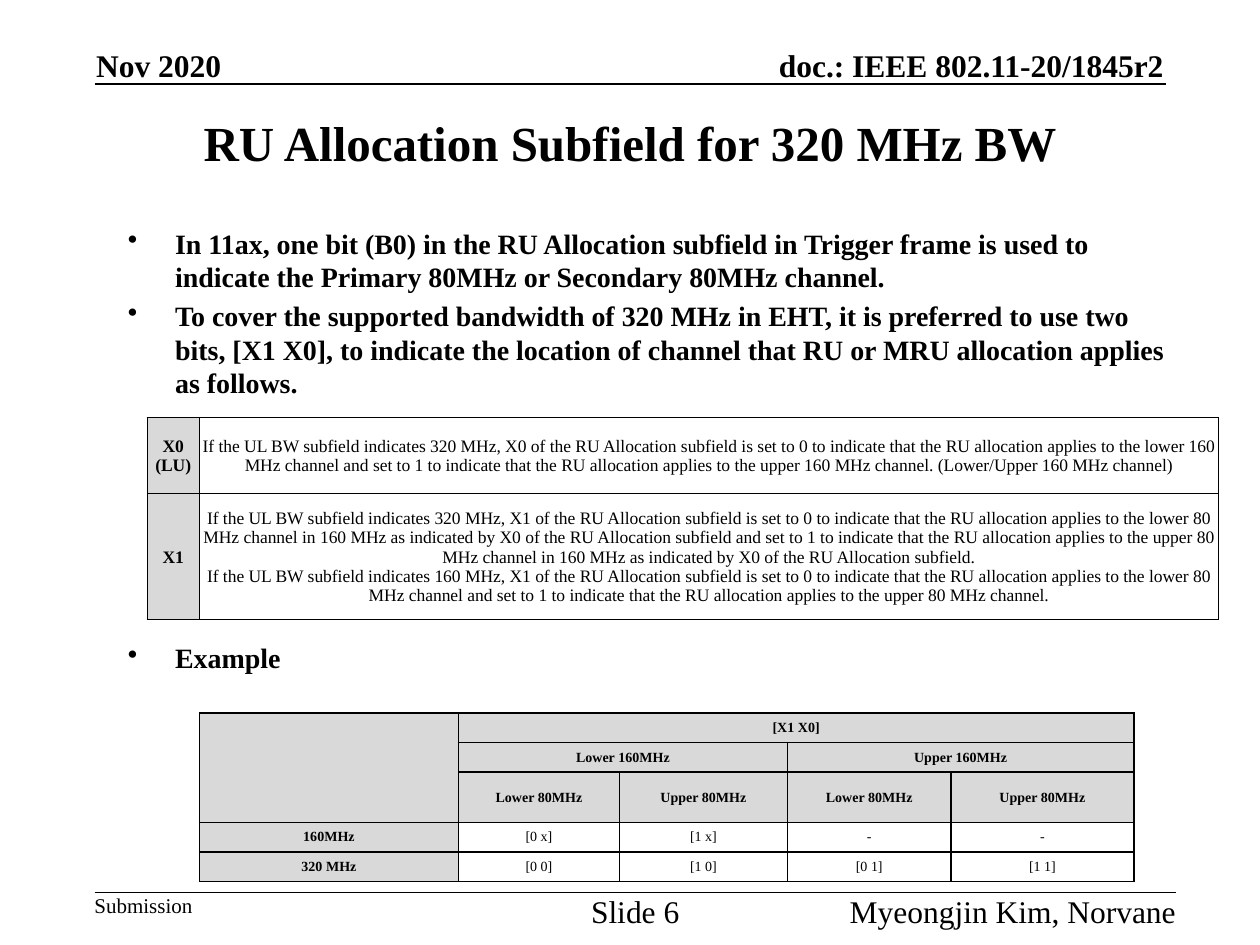
"""Build the RU allocation slide with its two tables."""
from lxml import etree
from pptx import Presentation
from pptx.dml import color
from pptx.enum import shapes, text
from pptx.oxml import ns
from pptx.util import Pt

THEME = dict(font="Times New Roman", ink="000000", gray="D9D9D9", white="FFFFFF",
             title=28, head=18, body=16, foot=12, rule=10, grid=8)
INK = color.RGBColor.from_string(THEME["ink"])
LEFT, MID, RIGHT = text.PP_ALIGN.LEFT, text.PP_ALIGN.CENTER, text.PP_ALIGN.RIGHT
TOP, CENTER, LOW = text.MSO_ANCHOR.TOP, text.MSO_ANCHOR.MIDDLE, text.MSO_ANCHOR.BOTTOM


def write(frame, lines, size, bold, align):
    for i, line in enumerate(lines):
        para = frame.paragraphs[0] if i == 0 else frame.add_paragraph()
        para.alignment = align
        run = para.add_run()
        run.text = line
        style = dict(name=THEME["font"], size=Pt(THEME[size]), bold=bold)
        for key, val in style.items():
            setattr(run.font, key, val)
        run.font.color.rgb = INK


def grid(place, cols, rows, cells, size, edge, inset, back):
    table = slide.shapes.add_table(len(rows), len(cols), *map(Pt, place),
                                   Pt(sum(cols)), Pt(sum(rows))).table
    table.first_row = table.horz_banding = False
    for col, wide in zip(table.columns, cols):
        col.width = Pt(wide)
    for row, tall in zip(table.rows, rows):
        row.height = Pt(tall)
    for r, line in enumerate(cells):
        for c, (words, head) in enumerate(line):
            cell = table.cell(r, c)
            form = dict(zip(("margin_left", "margin_right", "margin_top", "margin_bottom"),
                            map(Pt, inset)), vertical_anchor=CENTER)
            for key, val in form.items():
                setattr(cell, key, val)
            write(cell.text_frame, words.split("\n"), size, head, MID)
            props = cell._tc.get_or_add_tcPr()
            for side in ("lnL", "lnR", "lnT", "lnB"):
                line_el = etree.SubElement(props, ns.qn("a:" + side), w=str(Pt(edge)))
                solid = etree.SubElement(line_el, ns.qn("a:solidFill"))
                etree.SubElement(solid, ns.qn("a:srgbClr"), val=THEME["ink"])
            shade = THEME["gray"] if head else back
            if shade:
                cell.fill.solid()
                cell.fill.fore_color.rgb = color.RGBColor.from_string(shade)
            else:
                cell.fill.background()
    return table


deck = Presentation()
deck.slide_width, deck.slide_height = Pt(720), Pt(540)
slide = deck.slides.add_slide(deck.slide_layouts[6])

for y, end in ((48, 666), (510, 672)):
    rule = slide.shapes.add_connector(shapes.MSO_CONNECTOR.STRAIGHT,
                                      Pt(54), Pt(y), Pt(end), Pt(y))
    rule.line.color.rgb = INK
    rule.line.width = Pt(1)
    etree.SubElement(rule._element.spPr, ns.qn("a:effectLst"))

BULLETS = [
    "In 11ax, one bit (B0) in the RU Allocation subfield in Trigger frame is used to "
    "indicate the Primary 80MHz or Secondary 80MHz channel.",
    "To cover the supported bandwidth of 320 MHz in EHT, it is preferred to use two bits, "
    "[X1 X0], to indicate the location of channel that RU or MRU allocation applies as follows.",
    "Example",
]
BOXES = [
    ((306, 26, 359, 22), ["doc.: IEEE 802.11-20/1845r2"], "head", True, RIGHT, LOW, (0, 0)),
    ((55, 26, 200, 22), ["Nov 2020"], "head", True, LEFT, LOW, (0, 0)),
    ((54, 510, 100, 15), ["Submission"], "foot", False, LEFT, TOP, (0, 0)),
    ((323, 510, 80, 22), ["Slide 6"], "head", False, MID, TOP, (0, 0)),
    ((442, 510, 230, 22), ["Myeongjin Kim, Norvane"], "head", False, RIGHT, TOP, (0, 0)),
    ((54, 54, 612, 54), ["RU Allocation Subfield for 320 MHz BW"], "title", True, MID, CENTER,
     (7.2, 3.6)),
    ((66, 126, 612, 366), BULLETS, "body", True, LEFT, TOP, (7.2, 3.6)),
]
for place, lines, size, bold, align, anchor, (side, edge) in BOXES:
    frame = slide.shapes.add_textbox(*map(Pt, place)).text_frame
    form = dict(word_wrap=True, vertical_anchor=anchor, margin_left=Pt(side),
                margin_right=Pt(side), margin_top=Pt(edge), margin_bottom=Pt(edge))
    for key, val in form.items():
        setattr(frame, key, val)
    write(frame, lines, size, bold, align)

for para, gap in zip(frame.paragraphs, (0, 3.2, 138)):
    props = para._p.get_or_add_pPr()
    props.set("marL", str(Pt(27)))
    props.set("indent", str(Pt(-27)))
    etree.SubElement(props, ns.qn("a:buChar"), char="•")
    para.line_spacing = Pt(19.1)
    para.space_before = Pt(gap)

HEADS = [["", "[X1 X0]", "", "", ""],
         ["", "Lower 160MHz", "", "Upper 160MHz", ""],
         ["", *["Lower 80MHz", "Upper 80MHz"] * 2]]
VALUES = [["160MHz", "[0 x]", "[1 x]", "-", "-"],
          ["320 MHz", "[0 0]", "[1 0]", "[0 1]", "[1 1]"]]
cells = [[(word, r < len(HEADS) or c == 0) for c, word in enumerate(row)]
         for r, row in enumerate(HEADS + VALUES)]
table = grid((114, 407.5), (148, 92, 96, 93.5, 104.5), [16] * 5, cells, "grid", 1,
             (7.2, 7.2, 3.6, 3.6), THEME["white"])
for (top, left), (low, right) in (((0, 0), (2, 0)), ((0, 1), (0, 4)),
                                  ((1, 1), (1, 2)), ((1, 3), (1, 4))):
    table.cell(top, left).merge(table.cell(low, right))

RULES = [
    [("X0 (LU)", True),
     ("If the UL BW subfield indicates 320 MHz, X0 of the RU Allocation subfield is set to 0 to "
      "indicate that the RU allocation applies to the lower 160 MHz channel and set to 1 to "
      "indicate that the RU allocation applies to the upper 160 MHz channel. "
      "(Lower/Upper 160 MHz channel)", False)],
    [("X1", True),
     ("If the UL BW subfield indicates 320 MHz, X1 of the RU Allocation subfield is set to 0 to "
      "indicate that the RU allocation applies to the lower 80 MHz channel in 160 MHz as "
      "indicated by X0 of the RU Allocation subfield and set to 1 to indicate that the RU "
      "allocation applies to the upper 80 MHz channel in 160 MHz as indicated by X0 of the RU "
      "Allocation subfield.\n"
      "If the UL BW subfield indicates 160 MHz, X1 of the RU Allocation subfield is set to 0 to "
      "indicate that the RU allocation applies to the lower 80 MHz channel and set to 1 to "
      "indicate that the RU allocation applies to the upper 80 MHz channel.", False)],
]
grid((84, 238.5), (30, 582), (43.5, 72), RULES, "rule", 0.5, (0.75, 0.75, 0.75, 0), None)

deck.save("out.pptx")
